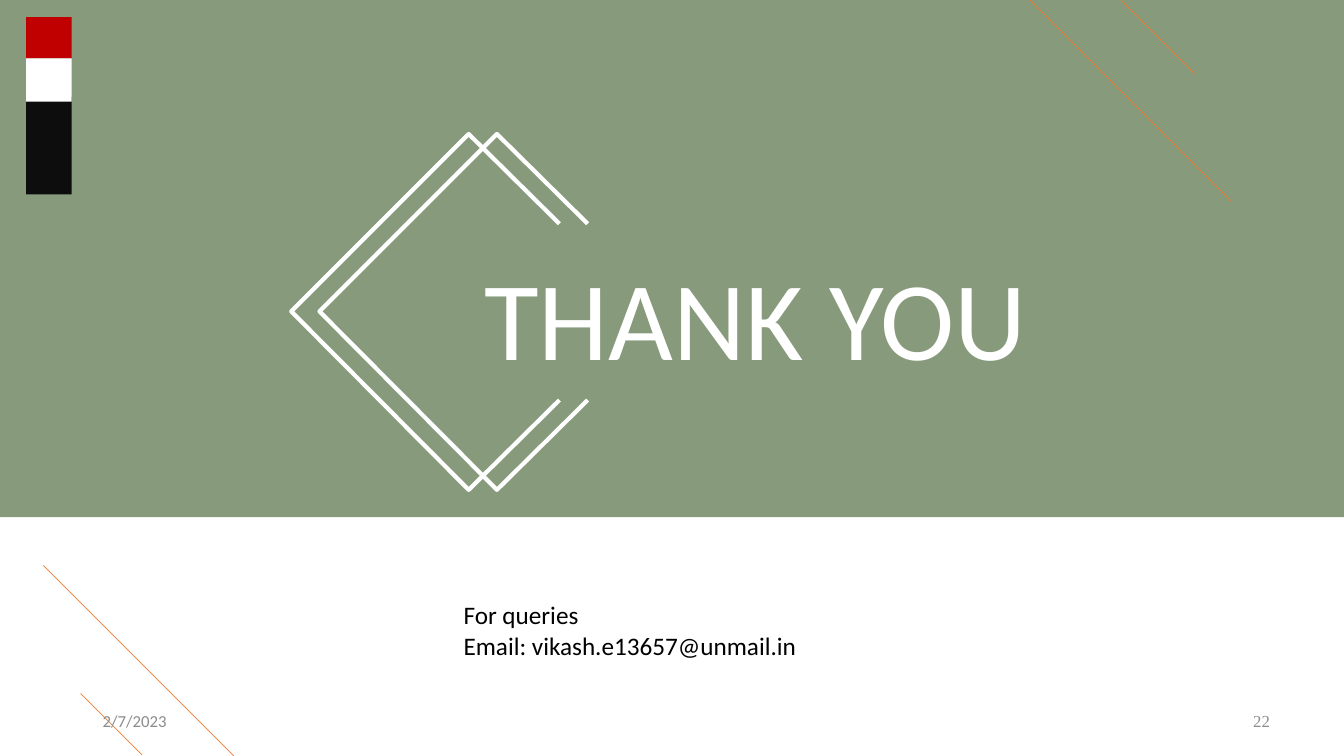
from lxml.etree import SubElement
from pptx import Presentation
from pptx.dml.color import RGBColor as Rgb
from pptx.enum.shapes import MSO_CONNECTOR as Connector, MSO_SHAPE as Shape
from pptx.enum.text import MSO_ANCHOR as Anchor, MSO_AUTO_SIZE as AutoSize, PP_ALIGN as Align
from pptx.oxml.ns import qn
from pptx.util import Inches, Pt

COLORS = {
    "green": "385723", "orange": "ED7D31", "red": "C00000", "black": "0D0D0D",
    "white": "FFFFFF", "ink": "000000", "gray": "8C8C8C",
}
CELL = Inches(0.1)  # square grid: 133.3 columns by 75 rows
COLUMNS, ROWS = 133.33, 75

deck = Presentation()
deck.slide_width, deck.slide_height = round(COLUMNS * CELL), ROWS * CELL
page = deck.slides.add_slide(deck.slide_layouts[6])


def add_block(column, row, columns, rows, color):
    """Add a plain filled rectangle measured in grid cells."""
    block = page.shapes.add_shape(
        Shape.RECTANGLE, *[round(n * CELL) for n in (column, row, columns, rows)])
    block.shadow.inherit = False
    block.fill.solid()
    block.fill.fore_color.rgb = Rgb.from_string(COLORS[color])
    block.line.fill.background()
    return block


def add_text(area, lines, size, color, font="Calibri", align=Align.LEFT, anchor=Anchor.MIDDLE):
    """Add a text box measured in grid cells, one paragraph per line."""
    box = page.shapes.add_textbox(*[round(n * CELL) for n in area])
    frame = box.text_frame
    frame.word_wrap = True
    frame.vertical_anchor = anchor
    for index, line in enumerate(lines):
        para = frame.paragraphs[0] if index == 0 else frame.add_paragraph()
        para.alignment = align
        span = para.add_run()
        span.text = line
        span.font.name = font
        span.font.size = Pt(size)
        span.font.color.rgb = Rgb.from_string(COLORS[color])
    return frame


# Translucent banner
banner = add_block(0, 0, COLUMNS, 51.3, "green")
banner_color = banner.element.spPr.find(qn("a:solidFill")).find(qn("a:srgbClr"))
SubElement(banner_color, qn("a:alpha"), val="60000")

# Corner diagonals, all at 45 degrees: column, row, cells across and down
for column, row, reach in [(102.2, 0, 20), (111.2, 0, 7.3), (8, 68.8, 6.1), (4.3, 56.1, 18.9)]:
    ends = (column, row, column + reach, row + reach)
    diagonal = page.shapes.add_connector(Connector.STRAIGHT, *[round(n * CELL) for n in ends])
    diagonal.line.color.rgb = Rgb.from_string(COLORS["orange"])
    diagonal.line.width = Pt(0.5)
    SubElement(diagonal.element.spPr, qn("a:effectLst"))

title = add_text((16.3, 24.6, 117.3, 13.5), ["THANK YOU"], 80, "white", align=Align.CENTER)
title.margin_left = title.margin_top = title.margin_right = title.margin_bottom = 0

# Two open diamonds, the second shifted to the right
for left in (28.9, 31.7):
    corners = [(left + across, row) for across, row in
               [(26.6, 39.7), (17.6, 48.6), (0, 30.9), (17.6, 13.3), (26.6, 22.2)]]
    points = [(round(column * CELL), round(row * CELL)) for column, row in corners]
    builder = page.shapes.build_freeform(*points[0])
    builder.add_line_segments(points[1:], close=False)
    diamond = builder.convert_to_shape()
    diamond.shadow.inherit = False
    diamond.fill.background()
    diamond.line.color.rgb = Rgb.from_string(COLORS["white"])
    diamond.line.width = Pt(3)

contact = add_text((45, 59, 35.1, 7.1), ["For queries", "Email: vikash.e13657@unmail.in"],
                   18, "ink", anchor=Anchor.TOP)
contact.word_wrap = False
contact.auto_size = AutoSize.SHAPE_TO_FIT_TEXT

# Colour strip
for row, rows, color in [(1.7, 4.1, "red"), (9.6, 9.7, "black"), (5.8, 4.3, "white")]:
    add_block(2.6, row, 4.5, rows, color)

# Footer
add_text((122.7, 69.5, 4.9, 4), ["22"], 12, "gray", "Times New Roman", Align.CENTER)
add_text((9.2, 69.5, 30, 4), ["2/7/2023"], 12, "gray")

deck.save("out.pptx")
